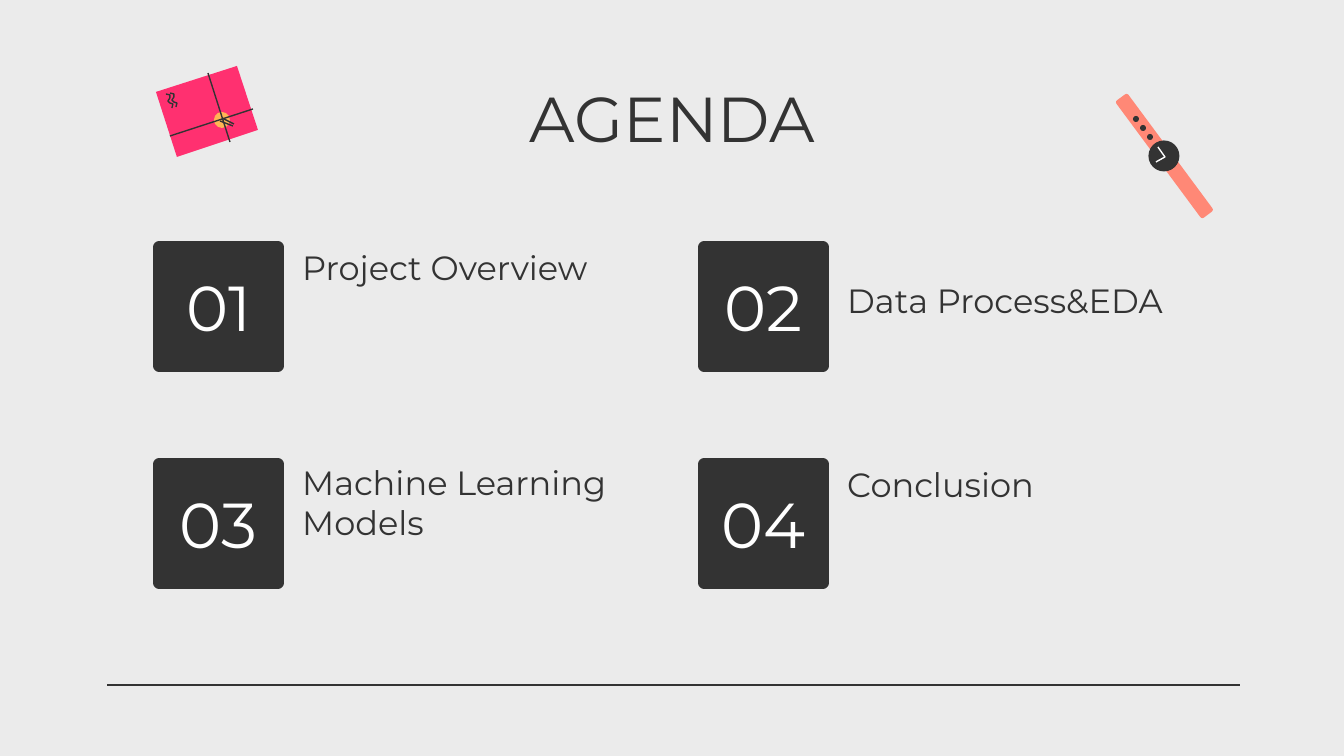
from pptx import Presentation
from pptx.dml.color import RGBColor
from pptx.enum.shapes import MSO_CONNECTOR, MSO_SHAPE
from pptx.enum.text import MSO_ANCHOR, PP_ALIGN
from pptx.oxml.xmlchemy import OxmlElement
from pptx.util import Pt

PX = 914400 / 134.4
BACKGROUND = RGBColor(0xEB, 0xEB, 0xEB)
DARK = RGBColor(0x33, 0x33, 0x33)
WHITE = RGBColor(0xFF, 0xFF, 0xFF)
PINK = RGBColor(0xFF, 0x30, 0x70)
AMBER = RGBColor(0xFF, 0xB5, 0x54)
CORAL = RGBColor(0xFF, 0x88, 0x76)

TITLE_FONT = {"name": "Montserrat", "size": Pt(34)}
TOPIC_FONT = {"name": "Montserrat", "size": Pt(18)}


def write(shape, text, font, color, alignment, anchor):
    frame = shape.text_frame
    inset = round(13.44 * PX)
    layout = {"word_wrap": True, "vertical_anchor": anchor, "margin_left": inset,
              "margin_right": inset, "margin_top": inset, "margin_bottom": inset}
    for name, value in layout.items():
        setattr(frame, name, value)
    paragraph = frame.paragraphs[0]
    paragraph.alignment = alignment
    run = paragraph.add_run()
    run.text = text
    for name, value in font.items():
        setattr(run.font, name, value)
    run.font.color.rgb = color


def paint(shape, fill, line=None, width=0):
    shape.shadow.inherit = False
    if fill is None:
        shape.fill.background()
    else:
        shape.fill.solid()
        shape.fill.fore_color.rgb = fill
    if line is None:
        shape.line.fill.background()
    else:
        shape.line.color.rgb = line
        shape.line.width = Pt(width)


presentation = Presentation()
presentation.slide_width = round(1344 * PX)
presentation.slide_height = round(756 * PX)
slide = presentation.slides.add_slide(presentation.slide_layouts[6])
slide.background.fill.solid()
slide.background.fill.fore_color.rgb = BACKGROUND
shapes = slide.shapes

title = shapes.add_textbox(*[round(v * PX) for v in (106, 66, 1133, 85)])
write(title, "AGENDA", TITLE_FONT, DARK, PP_ALIGN.CENTER, MSO_ANCHOR.TOP)

agenda = [
    ("01", "Project Overview", 247),
    ("02", "Data Process&EDA", 280),
    ("03", "Machine Learning Models", 502),
    ("04", "Conclusion", 464),
]
for index, (number, topic, topic_top) in enumerate(agenda):
    row, column = divmod(index, 2)
    left = 159 + 545 * column
    top = 247 + 217 * row
    tile = shapes.add_shape(MSO_SHAPE.RECTANGLE,
                            *[round(v * PX) for v in (left, top, 119, 119)])
    paint(tile, DARK, DARK, 6)
    write(tile, number, TITLE_FONT, WHITE, PP_ALIGN.CENTER, MSO_ANCHOR.MIDDLE)
    topic_box = shapes.add_textbox(
        *[round(v * PX) for v in (left + 130, topic_top, 351, 54)])
    write(topic_box, topic, TOPIC_FONT, DARK, PP_ALIGN.LEFT, MSO_ANCHOR.BOTTOM)

envelope = [(237, 66), (258, 130), (177, 157), (156, 92)]
builder = shapes.build_freeform(*envelope[0], scale=PX)
builder.add_line_segments(envelope[1:], close=True)
paint(builder.convert_to_shape(), PINK)

strap = shapes.add_shape(MSO_SHAPE.ROUNDED_RECTANGLE,
                         *[round(v * PX) for v in (1157, 83, 15, 146)])
strap.rotation = -36.5
paint(strap, CORAL)

circles = [(222, 120, 16, AMBER), (1164, 156, 31, DARK)]
circles += [(1136 + 7 * hole, 119 + 9 * hole, 6, DARK) for hole in range(3)]
for center_x, center_y, size, color in circles:
    circle = shapes.add_shape(
        MSO_SHAPE.OVAL,
        *[round(v * PX) for v in (center_x - size / 2, center_y - size / 2, size, size)])
    paint(circle, color)

squiggle = [(166, 94), (170, 95), (170, 98), (168, 101), (170, 103), (173, 104), (172, 108)]
strokes = [
    (squiggle, DARK),
    ([(x + 4, y - 1) for x, y in squiggle], DARK),
    ([(1158, 147), (1165, 157), (1156, 162)], WHITE),
]
for points, color in strokes:
    builder = shapes.build_freeform(*points[0], scale=PX)
    builder.add_line_segments(points[1:], close=False)
    paint(builder.convert_to_shape(), None, color, 0.75)

straight_lines = [
    (1240, 685, 107, 685),
    (170, 136, 253, 109),
    (208, 73, 230, 142),
    (222, 118, 234, 124),
    (220, 121, 233, 126),
]
for ends in straight_lines:
    connector = shapes.add_connector(MSO_CONNECTOR.STRAIGHT, *[round(v * PX) for v in ends])
    connector.line.color.rgb = DARK
    connector.line.width = Pt(0.75)
    connector._element.spPr.append(OxmlElement("a:effectLst"))

presentation.save("out.pptx")
